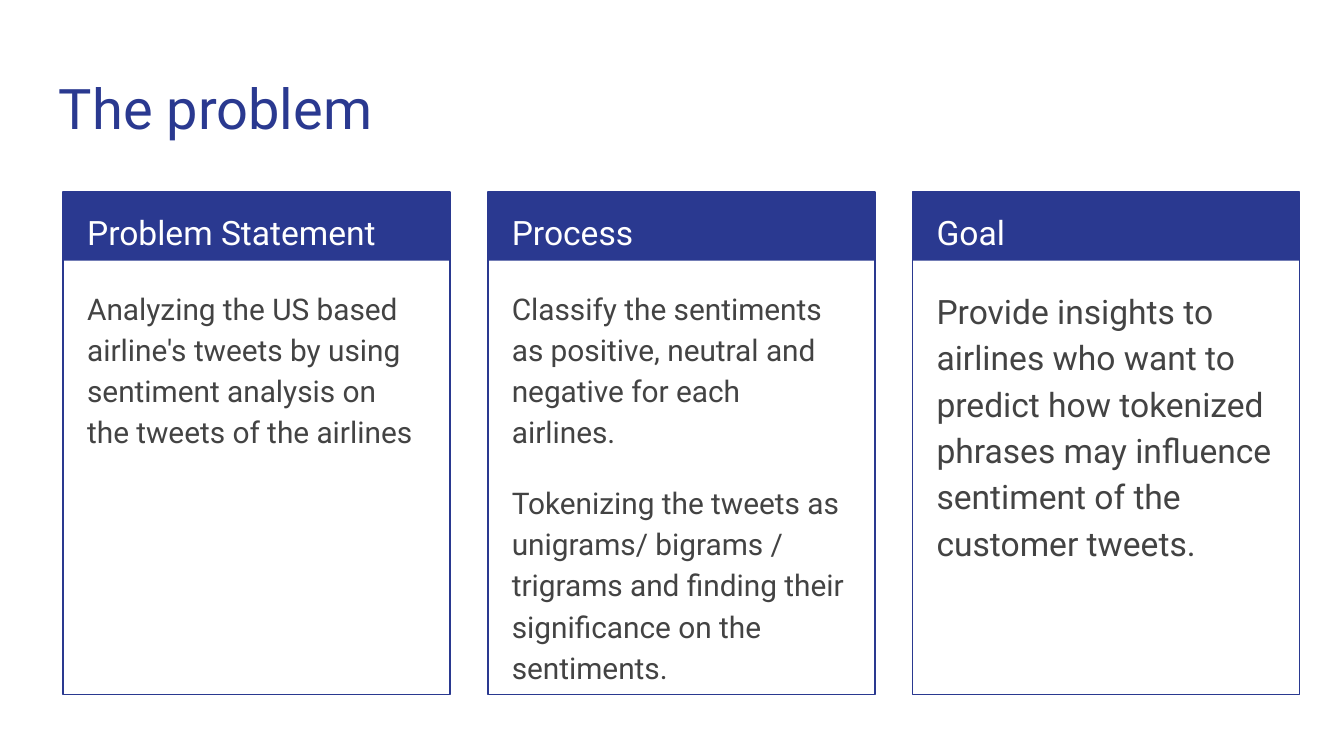
from dataclasses import dataclass

from pptx import Presentation
from pptx.dml.color import RGBColor
from pptx.enum.shapes import MSO_SHAPE
from pptx.enum.text import MSO_ANCHOR, PP_ALIGN
from pptx.util import Inches, Pt

RECT = MSO_SHAPE.RECTANGLE
TOP = MSO_ANCHOR.TOP
LEFT = PP_ALIGN.LEFT


@dataclass(frozen=True)
class Theme:
    font: str = "Roboto"
    navy: RGBColor = RGBColor(0x2A, 0x39, 0x90)
    white: RGBColor = RGBColor(0xFF, 0xFF, 0xFF)
    gray: RGBColor = RGBColor(0x43, 0x43, 0x43)
    title: int = 30
    heading: int = 18
    body: int = 16
    line_spacing: float = 1.15
    para_gap: int = 16


THEME = Theme()

CARDS = [
    ("Problem Statement",
     ["Analyzing the US based airline's tweets by using sentiment analysis "
      "on the tweets of the airlines"],
     THEME.body),
    ("Process",
     ["Classify the sentiments as positive, neutral and negative for each airlines.",
      "Tokenizing the tweets as unigrams/ bigrams / trigrams and finding their "
      "significance on the sentiments."],
     THEME.body),
    ("Goal",
     ["Provide insights to airlines who want to predict how tokenized phrases "
      "may influence sentiment of the customer tweets."],
     THEME.heading),
]
CARD_LEFT, CARD_TOP = 0.47, 1.43
CARD_W, CARD_H = 2.88, 3.74
CARD_PITCH = 3.16
HEADER_H = 0.51


def add_text(slide, box, paragraphs, size, color, spacing=1.0, gap=0):
    tf = slide.shapes.add_textbox(*map(Inches, box)).text_frame
    tf.word_wrap = True
    tf.vertical_anchor = TOP
    tf.margin_left = tf.margin_right = Inches(0.1)
    tf.margin_top = tf.margin_bottom = Inches(0.1)
    for i, text in enumerate(paragraphs):
        p = tf.add_paragraph() if i else tf.paragraphs[0]
        p.alignment = LEFT
        p.line_spacing = spacing
        p.space_after = Pt(gap)
        r = p.add_run()
        r.text = text
        r.font.name = THEME.font
        r.font.size = Pt(size)
        r.font.color.rgb = color


def add_rect(slide, box, fill=None, line=None):
    sp = slide.shapes.add_shape(RECT, *map(Inches, box))
    sp.shadow.inherit = False
    if fill is None:
        sp.fill.background()
    else:
        sp.fill.solid()
        sp.fill.fore_color.rgb = fill
    if line is None:
        sp.line.fill.background()
    else:
        sp.line.color.rgb = line
        sp.line.width = Pt(0.75)


def add_card(slide, box, heading, paragraphs, size):
    """Outlined panel with a filled heading band and body text."""
    x, y, w, h = box
    add_rect(slide, (x, y, w, HEADER_H), fill=THEME.navy)
    add_rect(slide, box, line=THEME.navy)
    add_text(slide, (x + 0.08, y, w - 0.15, HEADER_H - 0.01), [heading],
             THEME.heading, THEME.white, spacing=THEME.line_spacing)
    add_text(slide, (x + 0.08, y + 0.59, w - 0.17, h - 0.68), paragraphs,
             size, THEME.gray, spacing=THEME.line_spacing, gap=THEME.para_gap)


def build_problem_slide(prs):
    slide = prs.slides.add_slide(prs.slide_layouts[6])
    slide.background.fill.solid()
    slide.background.fill.fore_color.rgb = THEME.white
    add_text(slide, (0.34, 0.45, 9.32, 0.66), ["The problem"],
             THEME.title, THEME.navy)
    for i, card in enumerate(CARDS):
        box = (CARD_LEFT + i * CARD_PITCH, CARD_TOP, CARD_W, CARD_H)
        add_card(slide, box, *card)


def main():
    prs = Presentation()
    prs.slide_width = Inches(10)
    prs.slide_height = prs.slide_width * 9 // 16
    build_problem_slide(prs)
    prs.save("out.pptx")


if __name__ == "__main__":
    main()
